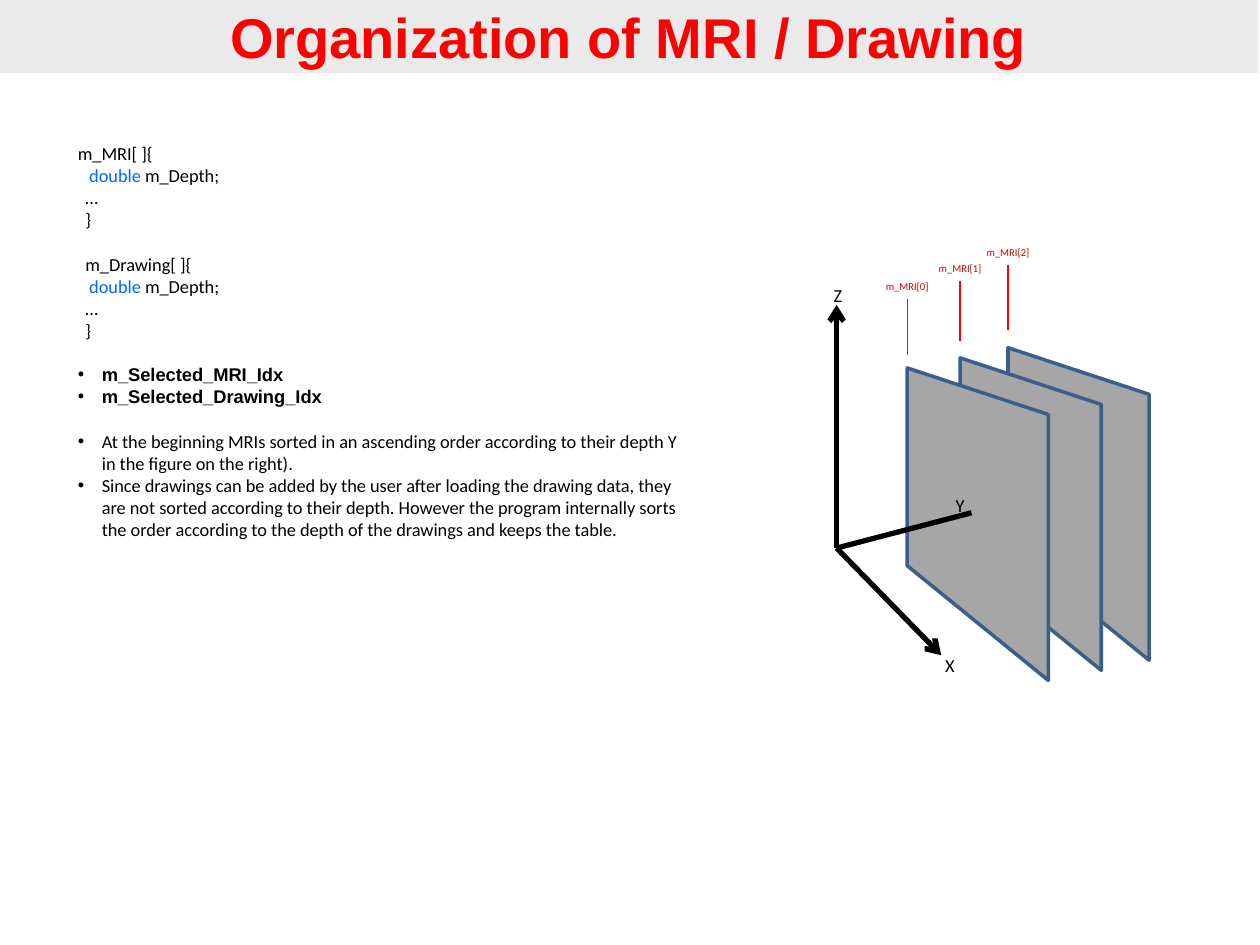
from lxml import etree
from pptx import Presentation
from pptx.dml.color import RGBColor
from pptx.enum import shapes, text
from pptx.oxml.ns import qn
from pptx.util import Inches, Pt

COLORS = {"band": "EAEAEA", "title": "FF0000", "ink": "000000", "keyword": "0066FF",
          "slice": "A6A6A6", "edge": "3A5F8C", "pointer": "FF0000", "label": "C00000"}
LINE_GAP = 12.8  # height of one line of body text, in points

# Content: body paragraphs as (runs, format); a run is (words, colour)
TITLE = "Organization of MRI / Drawing"
FIELD = [("double ", "keyword"), ("m_Depth;", "ink")]


def struct(name, **first_line):
    return [([(name, "ink")], first_line),
            (FIELD, dict(indent=0.09)),
            ([("…", "ink")], dict(indent=0.06)),
            ([("}", "ink")], dict(indent=0.06))]


BODY = struct("m_MRI[ ]{") + struct("m_Drawing[ ]{", indent=0.06, before=LINE_GAP) + [
    ([("m_Selected_MRI_Idx", "ink")],
     dict(bullet=True, font="Arial", bold=True, before=LINE_GAP)),
    ([("m_Selected_Drawing_Idx", "ink")], dict(bullet=True, font="Arial", bold=True)),
    ([("At the beginning MRIs sorted in an ascending order according to their depth Y "
       "in the figure on the right).", "ink")], dict(bullet=True, before=LINE_GAP)),
    ([("Since drawings can be added by the user after loading the drawing data, they are "
       "not sorted according to their depth. However the program internally sorts the "
       "order according to the depth of the drawings and keeps the table.", "ink")],
     dict(bullet=True)),
]

# Slices: label, left and top of the plane, top and bottom of the pointer
SLICES = [("m_MRI[0]", 7.2, 2.92, 2.37, 2.82),
          ("m_MRI[1]", 7.62, 2.84, 2.23, 2.71),
          ("m_MRI[2]", 8, 2.76, 2.1, 2.62)]
PLANE = [(0, 0), (0, 1.57), (1.12, 2.48), (1.12, 0.37)]

# Axes: name, tip, arrowhead, centre and top of the label
ORIGIN = (6.64, 4.35)
AXES = [("X", (7.47, 5.2), True, 7.54, 5.14),
        ("Z", (6.64, 2.42), True, 6.65, 2.21),
        ("Y", (7.71, 4.07), False, 7.62, 3.87)]


def rgb(name):
    return RGBColor.from_string(COLORS[name])


def add_text(paragraph, words, color="ink", size=10.5, font="Calibri", bold=False,
             align=None, before=0, indent=0, bullet=False):
    run = paragraph.add_run()
    run.text = words
    run.font.size, run.font.name, run.font.bold = Pt(size), font, bold
    run.font.color.rgb = rgb(color)
    paragraph.alignment = align
    paragraph.space_before = Pt(before)
    props = paragraph._p.get_or_add_pPr()
    if bullet and props.find(qn("a:buChar")) is None:
        etree.SubElement(props, qn("a:buFont")).set("typeface", "Arial")
        etree.SubElement(props, qn("a:buChar")).set("char", "•")
    props.set("marL", str(Inches(0.19 if bullet else indent)))
    props.set("indent", str(Inches(-0.19 if bullet else 0)))


def add_box(slide, left, top, width, height):
    frame = slide.shapes.add_textbox(*map(Inches, (left, top, width, height))).text_frame
    frame.word_wrap = True
    return frame


def add_label(slide, words, center, top, width, height, **style):
    frame = add_box(slide, center - width / 2, top, width, height)
    add_text(frame.paragraphs[0], words, align=text.PP_ALIGN.CENTER, **style)


def add_line(slide, start, end, color, weight, arrow=False):
    line = slide.shapes.add_connector(shapes.MSO_CONNECTOR.STRAIGHT,
                                      *map(Inches, (*start, *end)))
    line.line.color.rgb = rgb(color)
    line.line.width = Pt(weight)
    if arrow:
        etree.SubElement(line.line._get_or_add_ln(), qn("a:tailEnd")).set("type", "arrow")
    etree.SubElement(line._element.spPr, qn("a:effectLst"))


def add_plane(slide, left, top):
    corners = [(Inches(left + x), Inches(top + y)) for x, y in PLANE]
    builder = slide.shapes.build_freeform(*corners[0])
    builder.add_line_segments(corners[1:], close=True)
    plane = builder.convert_to_shape()
    plane.shadow.inherit = False
    plane.fill.solid()
    plane.fill.fore_color.rgb = rgb("slice")
    plane.line.color.rgb = rgb("edge")
    plane.line.width = Pt(2)


def main():
    deck = Presentation()
    deck.slide_width, deck.slide_height = Inches(10), Inches(7.5)
    slide = deck.slides.add_slide(deck.slide_layouts[6])

    # Body text
    body = add_box(slide, 0.52, 1.08, 5, 3.28)
    for i, (runs, style) in enumerate(BODY):
        paragraph = body.add_paragraph() if i else body.paragraphs[0]
        for words, color in runs:
            add_text(paragraph, words, color=color, **style)

    # Title band
    band = slide.shapes.add_shape(shapes.MSO_SHAPE.RECTANGLE,
                                  Inches(-0.01), 0, Inches(10), Inches(0.58))
    band.shadow.inherit = False
    band.fill.solid()
    band.fill.fore_color.rgb = rgb("band")
    band.line.fill.background()
    band.text_frame.vertical_anchor = text.MSO_ANCHOR.MIDDLE
    add_text(band.text_frame.paragraphs[0], TITLE, color="title", size=32, font="Arial",
             bold=True, align=text.PP_ALIGN.CENTER, before=6.4)

    # Slices, farthest first
    for _, left, top, _, _ in reversed(SLICES):
        add_plane(slide, left, top)

    # Axes
    for _, tip, arrow, _, _ in AXES:
        add_line(slide, ORIGIN, tip, "ink", 3, arrow)

    # Slice labels and pointers
    for name, left, _, start, end in SLICES:
        add_label(slide, name, left, start - 0.2, 0.64, 0.2, size=6, color="label")
        add_line(slide, (left, start), (left, end), "pointer", 0.75)

    # Axis labels
    for name, _, _, center, top in AXES:
        add_label(slide, name, center, top, 0.46, 0.28)

    deck.save("out.pptx")


if __name__ == "__main__":
    main()
